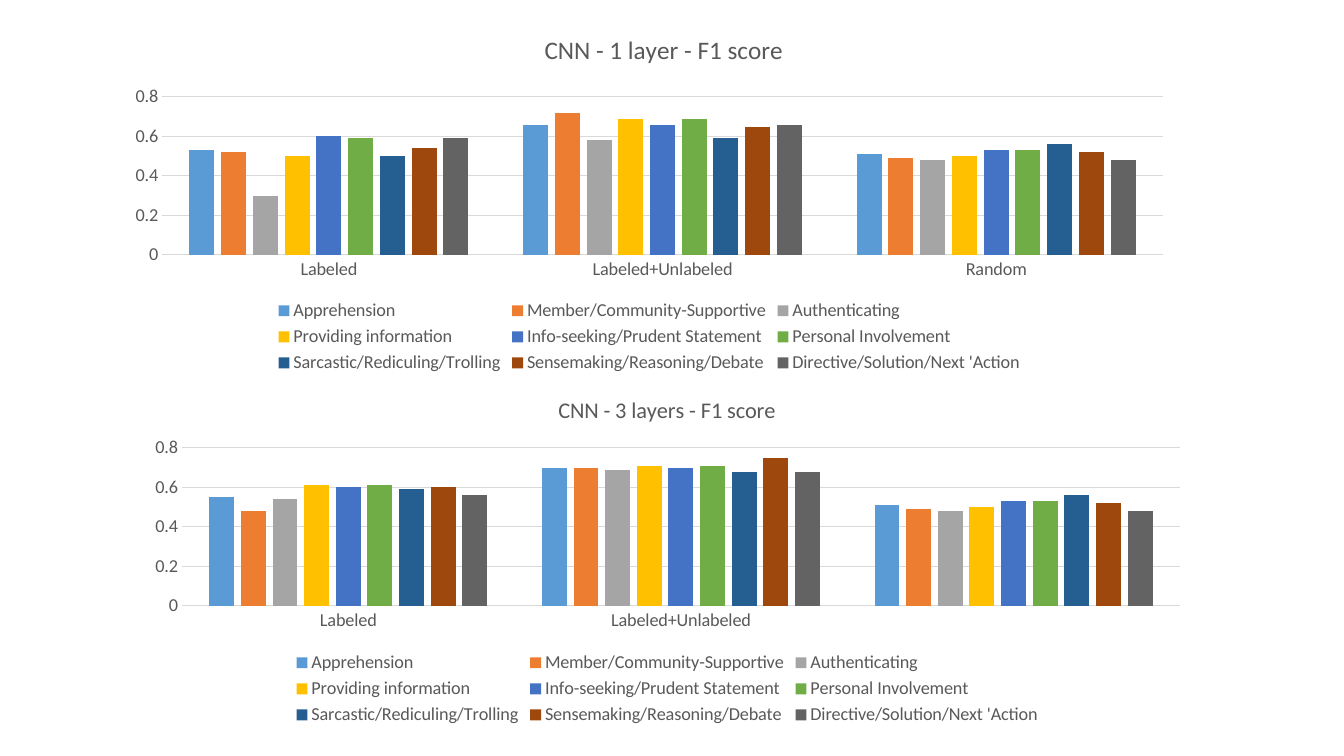
from dataclasses import dataclass

from lxml import etree
from pptx import Presentation
from pptx import util as u
from pptx.chart.data import CategoryChartData
from pptx.dml.color import RGBColor
from pptx.enum import chart as ch
from pptx.oxml.ns import qn

EMU_PER_PX = 914400 / 100.8


@dataclass(frozen=True)
class Theme:
    """Colours, font and type sizes of the slide."""
    font: str = "Calibri"
    ink: str = "595959"
    rule: str = "D9D9D9"
    label_pt: int = 13
    rule_pt: float = 0.75
    bars: tuple = ("5B9BD5", "ED7D31", "A5A5A5", "FFC000", "4472C4",
                   "70AD47", "255E91", "9E480E", "636363")


THEME = Theme()

TOPICS = (
    "Apprehension", "Member/Community-Supportive", "Authenticating",
    "Providing information", "Info-seeking/Prudent Statement",
    "Personal Involvement", "Sarcastic/Rediculing/Trolling",
    "Sensemaking/Reasoning/Debate", "Directive/Solution/Next 'Action",
)

# Boxes are left, top, width, height; each score row is one training set.
ONE_LAYER = {
    "title": "CNN - 1 layer - F1 score",
    "title_pt": 18,
    "title_at": (540, 28),
    "box": (114, 21, 1070, 357),
    "plot_box": (162, 97, 1001, 158),
    "scores": (
        ("Labeled", (0.53, 0.52, 0.3, 0.5, 0.6, 0.59, 0.5, 0.54, 0.59)),
        ("Labeled+Unlabeled",
         (0.66, 0.72, 0.58, 0.69, 0.66, 0.69, 0.59, 0.65, 0.66)),
        ("Random", (0.51, 0.49, 0.48, 0.5, 0.53, 0.53, 0.56, 0.52, 0.48)),
    ),
}
THREE_LAYERS = {
    "title": "CNN - 3 layers - F1 score",
    "title_pt": 16,
    "title_at": None,
    "box": (134, 378, 1066, 352),
    "plot_box": (182, 448, 998, 158),
    "scores": (
        ("Labeled", (0.55, 0.48, 0.54, 0.61, 0.6, 0.61, 0.59, 0.6, 0.56)),
        ("Labeled+Unlabeled",
         (0.7, 0.7, 0.69, 0.71, 0.7, 0.71, 0.68, 0.75, 0.68)),
        ("", (0.51, 0.49, 0.48, 0.5, 0.53, 0.53, 0.56, 0.52, 0.48)),
    ),
}


def px(length):
    """Turn pixels into EMU."""
    return u.Emu(round(length * EMU_PER_PX))


def apply(target, values):
    """Set every attribute named in values."""
    for name, value in values.items():
        setattr(target, name, value)


def style_font(font, size):
    """Give a chart font the theme's face and ink."""
    apply(font, {"name": THEME.font, "size": u.Pt(size), "bold": False})
    font.color.rgb = RGBColor.from_string(THEME.ink)


def style_rule(line):
    """Draw an axis or grid line in the theme's light rule."""
    line.color.rgb = RGBColor.from_string(THEME.rule)
    line.width = u.Pt(THEME.rule_pt)


def place(parent, index, box, chart_box, inner=False):
    """Fix a chart part at a slide position given in pixels."""
    for old in parent.findall(qn("c:layout")):
        parent.remove(old)
    left, top, width, height = chart_box
    settings = {"layoutTarget": "inner"} if inner else {}
    settings.update(xMode="edge", yMode="edge")
    fractions = ((box[0] - left) / width, (box[1] - top) / height,
                 *(size / whole for size, whole
                   in zip(box[2:], (width, height))))
    settings.update(zip("xywh", (f"{part:.4f}" for part in fractions)))
    layout = etree.Element(qn("c:layout"))
    manual = etree.SubElement(layout, qn("c:manualLayout"))
    for tag, value in settings.items():
        etree.SubElement(manual, qn(f"c:{tag}")).set("val", value)
    parent.insert(index, layout)


def style_axes(chart):
    """Format the training-set axis and the score axis."""
    for axis in (chart.category_axis, chart.value_axis):
        apply(axis, {"major_tick_mark": ch.XL_TICK_MARK.NONE,
                     "minor_tick_mark": ch.XL_TICK_MARK.NONE})
        style_font(axis.tick_labels.font, THEME.label_pt)
    style_rule(chart.category_axis.format.line)
    scores = chart.value_axis
    apply(scores, {"minimum_scale": 0, "maximum_scale": 0.8,
                   "major_unit": 0.2, "has_major_gridlines": True})
    scores.format.line.fill.background()
    style_rule(scores.major_gridlines.format.line)
    apply(scores.tick_labels, {"number_format": "General",
                               "number_format_is_linked": False})


def style_title(chart, model):
    """Write the chart title and move it if it has its own place."""
    chart.has_title = True
    title = chart.chart_title
    title.include_in_layout = False
    paragraph = title.text_frame.paragraphs[0]
    run = paragraph.add_run()
    run.text = model["title"]
    style_font(run.font, model["title_pt"])
    if model["title_at"]:
        place(title._element, 1, model["title_at"], model["box"])


def add_score_chart(slide, model):
    """Add one clustered column chart of F1 scores."""
    data = CategoryChartData()
    data.categories = [name for name, _ in model["scores"]]
    for topic, scores in zip(TOPICS, zip(*(row for _, row in model["scores"]))):
        data.add_series(topic, scores)
    chart = slide.shapes.add_chart(
        ch.XL_CHART_TYPE.COLUMN_CLUSTERED, *map(px, model["box"]), data).chart
    style_font(chart.font, THEME.label_pt)
    style_title(chart, model)
    style_axes(chart)
    chart.has_legend = True
    apply(chart.legend, {"position": ch.XL_LEGEND_POSITION.BOTTOM,
                         "include_in_layout": False})
    style_font(chart.legend.font, THEME.label_pt)
    columns = chart.plots[0]
    apply(columns, {"gap_width": 219, "overlap": -27,
                    "vary_by_categories": False})
    for topic, color in zip(columns.series, THEME.bars):
        topic.format.fill.solid()
        topic.format.fill.fore_color.rgb = RGBColor.from_string(color)
        topic.invert_if_negative = False
    plot_area = chart._chartSpace.find(f".//{qn('c:plotArea')}")
    place(plot_area, 0, model["plot_box"], model["box"], inner=True)


def main():
    """Build the slide and save it."""
    deck = Presentation()
    apply(deck, {"slide_width": px(1344), "slide_height": px(756)})
    slide = deck.slides.add_slide(deck.slide_layouts[6])
    for model in (ONE_LAYER, THREE_LAYERS):
        add_score_chart(slide, model)
    deck.save("out.pptx")


main()
